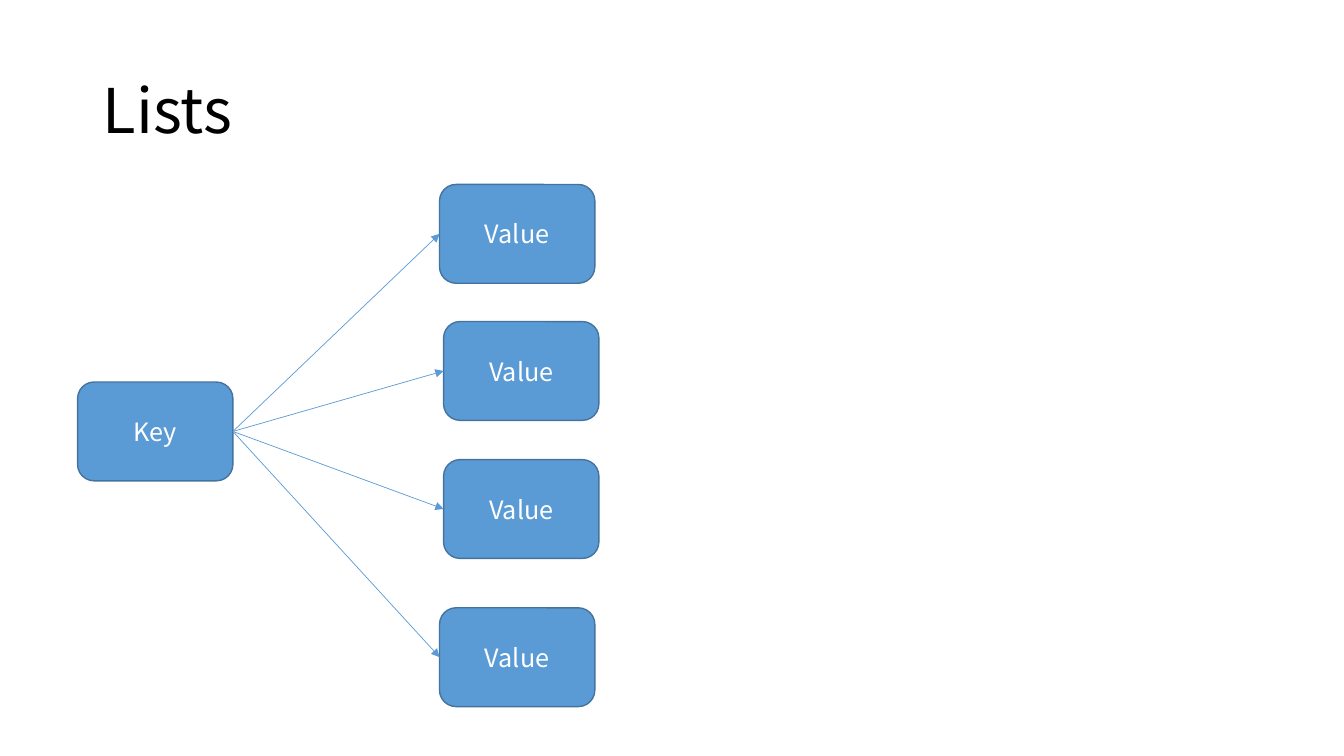
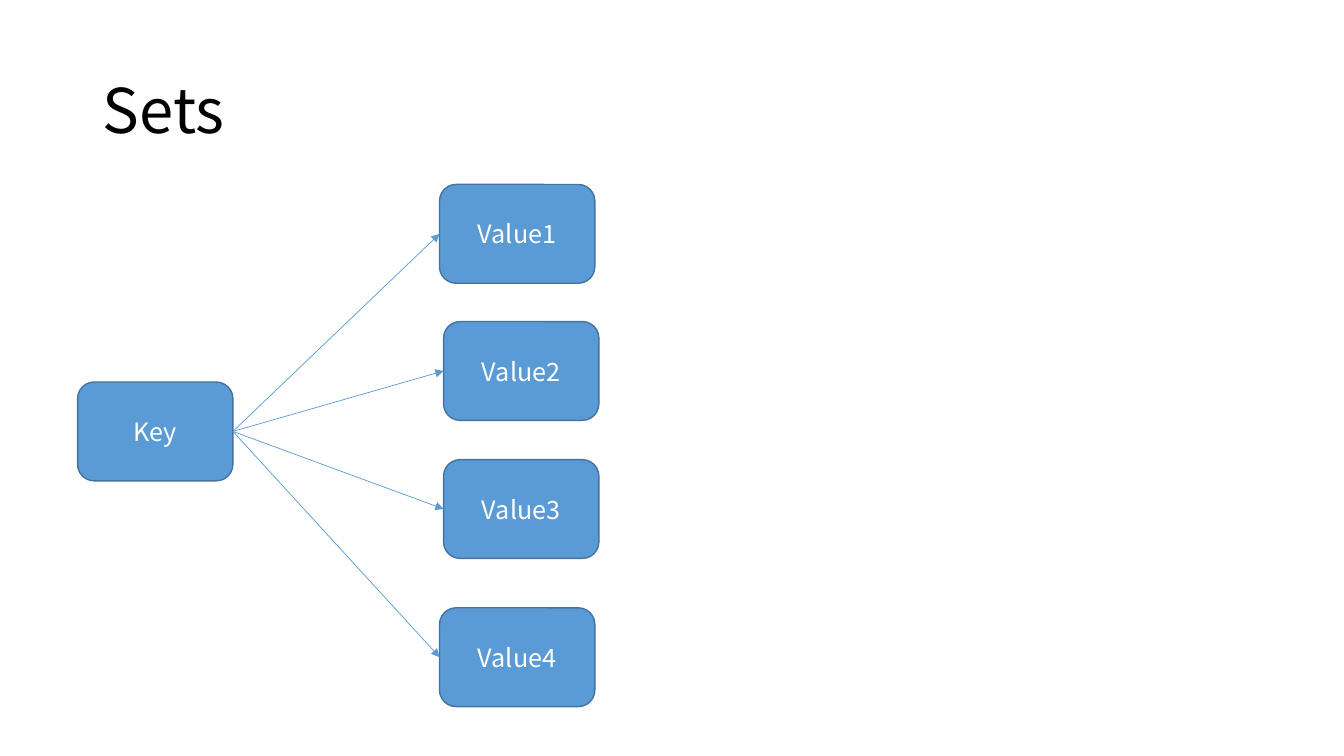
from lxml import etree
from pptx import Presentation
from pptx import util as u
from pptx.dml.color import RGBColor
from pptx.enum import shapes, text
from pptx.oxml.ns import qn

COLORS = {"title": "000000", "box": "5B9BD5", "border": "43739E", "label": "FFFFFF"}
FONT = "Noto Sans CJK KR"
BOX_WIDTH, BOX_HEIGHT = 1.54, 0.98
KEY_POSITION = (0.77, 3.79)
VALUE_POSITIONS = [(4.36, 1.83), (4.4, 3.19), (4.4, 4.56), (4.36, 6.03)]
LEFT_SITE, RIGHT_SITE = 1, 3

DIAGRAMS = {
    "Lists": ["Value"] * 4,
    "Sets": [f"Value{number}" for number in range(1, 5)],
}


def write(shape, words, size, color, alignment):
    """Put one vertically centred run of text into the shape."""
    frame = shape.text_frame
    frame.word_wrap = True
    frame.auto_size = text.MSO_AUTO_SIZE.NONE
    frame.vertical_anchor = text.MSO_ANCHOR.MIDDLE
    paragraph = frame.paragraphs[0]
    paragraph.alignment = alignment
    run = paragraph.add_run()
    run.text = words
    run.font.name = FONT
    run.font.size = u.Pt(size)
    run.font.color.rgb = RGBColor.from_string(COLORS[color])
    return paragraph


def add_box(slide, position, label):
    left, top = position
    box = slide.shapes.add_shape(
        shapes.MSO_SHAPE.ROUNDED_RECTANGLE,
        u.Inches(left), u.Inches(top), u.Inches(BOX_WIDTH), u.Inches(BOX_HEIGHT))
    box.shadow.inherit = False
    box.fill.solid()
    box.fill.fore_color.rgb = RGBColor.from_string(COLORS["box"])
    box.line.color.rgb = RGBColor.from_string(COLORS["border"])
    box.line.width = u.Pt(1)
    write(box, label, 18, "label", text.PP_ALIGN.CENTER)
    return box


presentation = Presentation()
presentation.slide_width = u.Inches(13.33)
presentation.slide_height = u.Inches(7.5)
title_only = presentation.slide_layouts[5]

for heading, values in DIAGRAMS.items():
    slide = presentation.slides.add_slide(title_only)
    title = slide.shapes.title
    title.left, title.top = u.Inches(0.92), u.Inches(0.4)
    title.width, title.height = u.Inches(11.5), u.Inches(1.45)
    write(title, heading, 44, "title", text.PP_ALIGN.LEFT).line_spacing = 0.9

    key_box = add_box(slide, KEY_POSITION, "Key")
    for position, value in zip(VALUE_POSITIONS, values):
        value_box = add_box(slide, position, value)
        arrow = slide.shapes.add_connector(shapes.MSO_CONNECTOR.STRAIGHT, 0, 0, 0, 0)
        arrow.begin_connect(key_box, RIGHT_SITE)
        arrow.end_connect(value_box, LEFT_SITE)
        arrow.line.color.rgb = RGBColor.from_string(COLORS["box"])
        arrow.line.width = u.Pt(0.5)
        properties = arrow.element.spPr
        etree.SubElement(properties.find(qn("a:ln")), qn("a:tailEnd"), type="triangle")
        etree.SubElement(properties, qn("a:effectLst"))

presentation.save("out.pptx")
